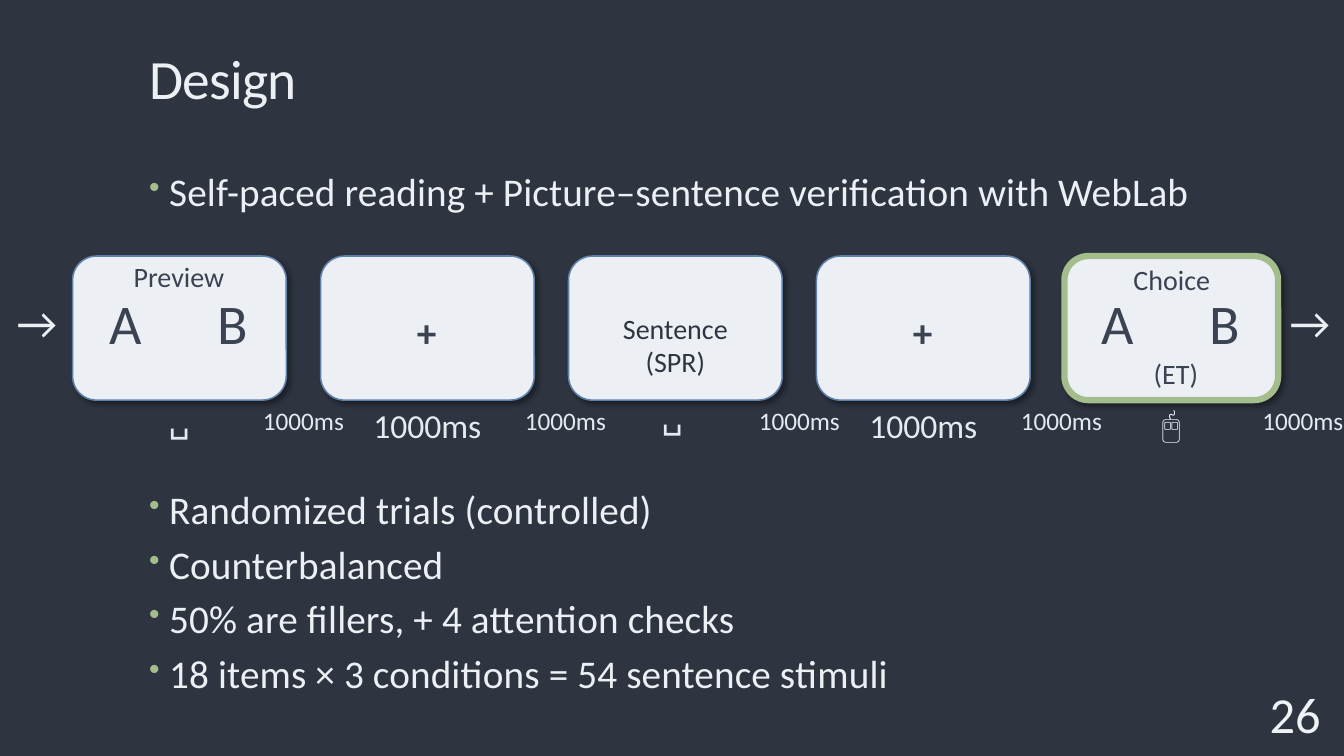
from lxml import etree
from pptx import Presentation
from pptx.dml.color import RGBColor
from pptx.enum import shapes, text
from pptx.oxml import ns
from pptx.util import Pt

INK = {"back": "2E3440", "card": "ECEFF4", "edge": "5E81AC", "green": "A3BE8C",
       "dark": "3B4252", "note": "E5E9F0", "mouse": "EEF0FF", "page": "EFF2F6",
       "shade": "000000"}
CARD_W, CARD_H, PITCH = 152.64, 102.96, 177.12


def rgb(name):
    return RGBColor.from_string(INK[name])


def sub(node, tag, **attrs):
    return etree.SubElement(node, ns.qn(tag), attrs)


def style(para, size, ink, face="Calibri", bold=False):
    font = para.font
    font.size, font.name, font.bold = Pt(size), face, bold
    font.color.rgb = rgb(ink)


def label(slide, words, box, size, ink, face="Calibri", bold=False,
          align=text.PP_ALIGN.CENTER, anchor=text.MSO_ANCHOR.TOP):
    """Single-line text without side insets."""
    frame = slide.shapes.add_textbox(*map(Pt, box)).text_frame
    frame.word_wrap = False
    frame.margin_left = frame.margin_right = 0
    frame.vertical_anchor = anchor
    para = frame.paragraphs[0]
    para.text, para.alignment = words, align
    style(para, size, ink, face, bold)
    return para


def track(para, gap):
    for run in para.runs:
        run.font._element.set("spc", str(gap))


def bullets(slide, lines, box):
    frame = slide.shapes.add_textbox(*map(Pt, box)).text_frame
    frame.word_wrap = True
    for i, line in enumerate(lines):
        para = frame.paragraphs[0] if i == 0 else frame.add_paragraph()
        para.text = line
        para.space_after = Pt(5.3)
        style(para, 28, "card")
        track(para, 10)
        props = para._p.get_or_add_pPr()
        props.set("marL", str(Pt(14.4)))
        props.set("indent", str(-Pt(14.4)))
        # Bullet marks go before the default run properties
        last = props.find(ns.qn("a:defRPr"))
        color = etree.Element(ns.qn("a:buClr"))
        sub(color, "a:srgbClr", val=INK["green"])
        size = etree.Element(ns.qn("a:buSzPct"), val="80000")
        mark = etree.Element(ns.qn("a:buChar"), char="•")
        for node in (color, size, mark):
            if last is None:
                props.append(node)
            else:
                last.addprevious(node)


def card(slide, x, y, edge="edge", width=1.1):
    shape = slide.shapes.add_shape(shapes.MSO_SHAPE.ROUNDED_RECTANGLE,
                                   Pt(x), Pt(y), Pt(CARD_W), Pt(CARD_H))
    shape.fill.solid()
    shape.fill.fore_color.rgb = rgb("card")
    shape.line.color.rgb = rgb(edge)
    shape.line.width = Pt(width)
    shape.shadow.inherit = False
    effects = shape._element.spPr.find(ns.qn("a:effectLst"))
    shade = sub(effects, "a:outerShdw", blurRad=str(Pt(4)), dist=str(Pt(3)),
                dir="2700000", algn="tl", rotWithShape="0")
    color = sub(shade, "a:srgbClr", val=INK["shade"])
    sub(color, "a:alpha", val="40000")
    return shape


def pair(slide, x, y):
    """Picture choices A and B in the two halves of a card."""
    half = CARD_W / 2
    for i, letter in enumerate("AB"):
        label(slide, letter, (x + i * half, y + 19.4, half, 55.4), 40, "dark")


def preview(slide, x, y):
    card(slide, x, y)
    pair(slide, x, y)
    label(slide, "Preview", (x + 34.6, y - 0.7, 82.8, 31.7), 20, "dark")
    label(slide, "␣", (x + 51.8, y + 98.6, 49, 36), 24, "note")


def cross(slide, x, y):
    card(slide, x, y)
    mid = x + CARD_W / 2
    label(slide, "+", (mid - 25, y + 33.5, 49, 41), 28, "dark", bold=True)
    label(slide, "1000ms", (x, y + CARD_H, CARD_W, 36), 24, "note")


def sentence(slide, x, y):
    frame = card(slide, x, y).text_frame
    frame.margin_top = Pt(27.6)
    frame.vertical_anchor = text.MSO_ANCHOR.MIDDLE
    para = frame.paragraphs[0]
    para.text, para.alignment = "Sentence\v(SPR)", text.PP_ALIGN.CENTER
    style(para, 20, "back")
    label(slide, "␣", (x + 49.7, y + 95.8, 49, 36), 24, "note")


def choice(slide, x, y):
    card(slide, x, y, "green", 4.5)
    pair(slide, x, y)
    label(slide, "Choice", (x + 35.3, y + 1.4, 82.8, 31.7), 20, "dark")
    label(slide, "(ET)", (x + 38.2, y + 68.4, 82.8, 31.7), 20, "dark")
    label(slide, "🖰", (x + 51.8, y + 102.2, 49, 36), 24, "mouse", "Roboto")


def trial(slide, x, y):
    """Row of screens, with the pause after each one."""
    steps = [(preview, 164.9), (cross, 175), (sentence, 164.9),
             (cross, 175), (choice, 170.3)]
    for i, (draw, pause) in enumerate(steps):
        left = x + i * PITCH
        draw(slide, left, y)
        label(slide, "1000ms", (left + pause - 30, y + CARD_H, 60, 28.8), 18, "note")
    # Arrows into and out of the trial
    for left in (x - 51.1, x + 858.2):
        label(slide, "→", (left, y + 24.1, 51.1, 46.1), 32, "card")


def design(prs):
    slide = prs.slides.add_slide(prs.slide_layouts[6])
    slide.background.fill.solid()
    slide.background.fill.fore_color.rgb = rgb("back")
    # Title and page number
    head = label(slide, "Design", (106.6, 28.8, 756, 54), 39.6, "card",
                 align=text.PP_ALIGN.LEFT, anchor=text.MSO_ANCHOR.BOTTOM)
    head.line_spacing = 0.9
    track(head, -50)
    label(slide, "26", (889.2, 486, 72, 46.8), 36, "page",
          anchor=text.MSO_ANCHOR.MIDDLE)
    # Method, trial and materials
    bullets(slide, ["Self-paced reading + Picture–sentence verification with WebLab"],
            (99.4, 115.9, 763.2, 45))
    trial(slide, 51.84, 182.88)
    bullets(slide, ["Randomized trials (controlled)", "Counterbalanced",
                    "50% are fillers, + 4 attention checks",
                    "18 items × 3 conditions = 54 sentence stimuli"],
            (99.4, 343.4, 763.2, 165))


def main():
    prs = Presentation()
    prs.slide_width, prs.slide_height = Pt(960), Pt(540)
    design(prs)
    prs.save("out.pptx")


if __name__ == "__main__":
    main()
